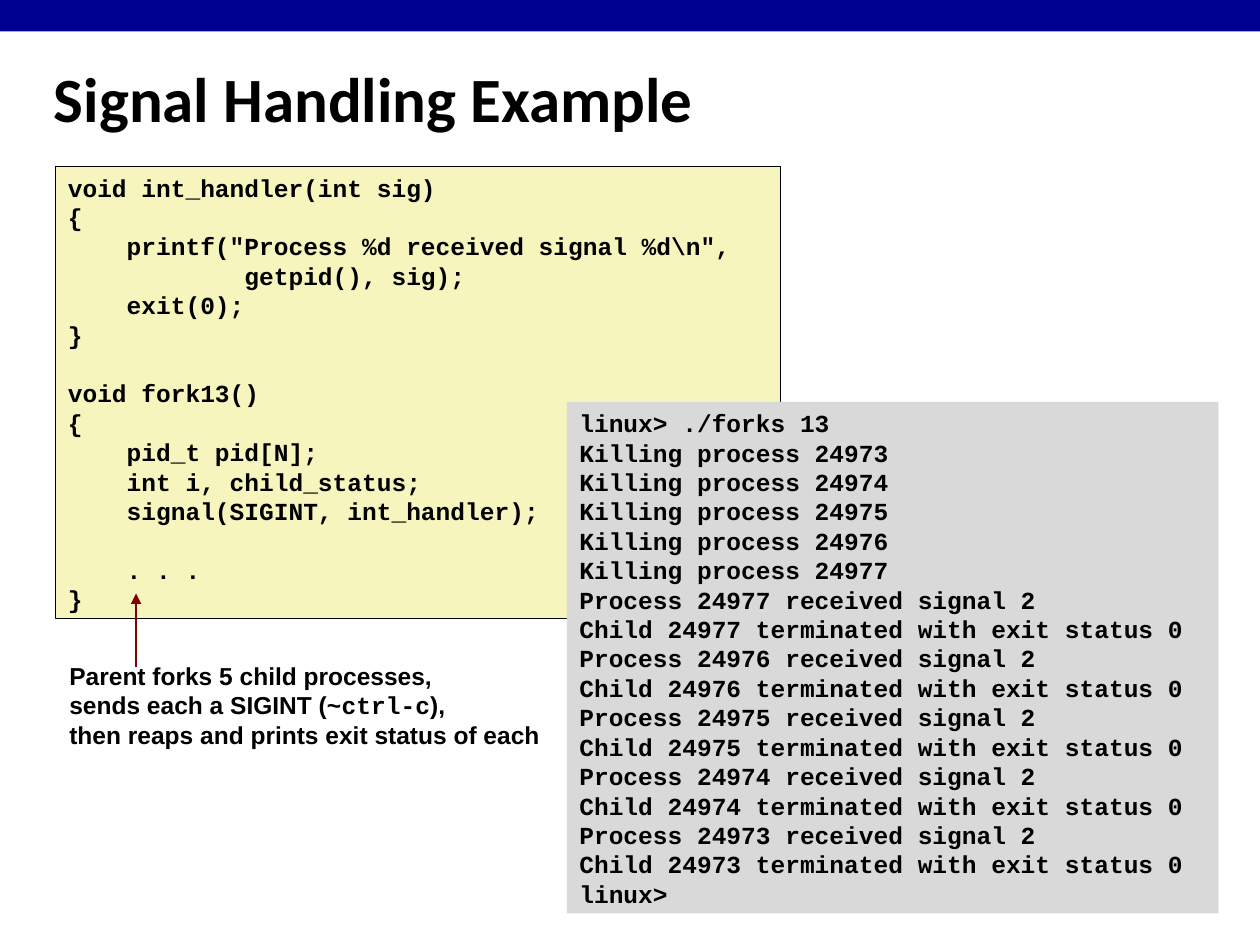
from dataclasses import dataclass

import pptx
import pptx.dml.color
import pptx.enum.shapes
import pptx.enum.text
import pptx.oxml
import pptx.oxml.ns
import pptx.util
from pptx.util import Inches

MONO = "Courier New"
SANS = "Arial"
BLACK = "000000"
PIDS = range(24973, 24978)

CODE = r'''void int_handler(int sig)
{
    printf("Process %d received signal %d\n",
            getpid(), sig);
    exit(0);
}

void fork13()
{
    pid_t pid[N];
    int i, child_status;
    signal(SIGINT, int_handler);

    . . .
}'''


@dataclass
class Run:
    text: str
    font: str = MONO
    size: float = 14


@dataclass
class Box:
    left: float
    top: float
    width: float
    height: float
    lines: list[list[Run]]
    fill: str = ""
    edge: str = ""
    inset: float = 0.1
    middle: bool = False


def color(code: str) -> pptx.dml.color.RGBColor:
    return pptx.dml.color.RGBColor.from_string(code)


def mono(lines: list[str]) -> list[list[Run]]:
    """Make each line one run of code type."""
    return [[Run(line)] if line else [] for line in lines]


def write(frame, box: Box) -> None:
    frame.word_wrap = True
    frame.margin_left = frame.margin_right = Inches(box.inset)
    frame.margin_top = frame.margin_bottom = Inches(0.05)
    anchor = pptx.enum.text.MSO_ANCHOR
    frame.vertical_anchor = anchor.MIDDLE if box.middle else anchor.TOP
    for i, line in enumerate(box.lines):
        par = frame.paragraphs[0] if i == 0 else frame.add_paragraph()
        par.alignment = pptx.enum.text.PP_ALIGN.LEFT
        if not line:
            par.font.size = pptx.util.Pt(14)
            par.font.name = MONO
        for part in line:
            run = par.add_run()
            run.text = part.text
            run.font.name = part.font
            run.font.size = pptx.util.Pt(part.size)
            run.font.bold = True
            run.font.color.rgb = color(BLACK)


def draw(slide, box: Box) -> None:
    """Draw a filled rectangle, or a text box where there is no fill."""
    area = [Inches(n) for n in (box.left, box.top, box.width, box.height)]
    if box.fill:
        kind = pptx.enum.shapes.MSO_SHAPE.RECTANGLE
        shape = slide.shapes.add_shape(kind, *area)
        shape.shadow.inherit = False
        shape.fill.solid()
        shape.fill.fore_color.rgb = color(box.fill)
        if box.edge:
            shape.line.color.rgb = color(box.edge)
            shape.line.width = pptx.util.Pt(0.25)
        else:
            shape.line.fill.background()
    else:
        shape = slide.shapes.add_textbox(*area)
    if box.lines:
        write(shape.text_frame, box)


def arrow(slide, x: float, start: float, end: float) -> None:
    line = slide.shapes.add_connector(
        pptx.enum.shapes.MSO_CONNECTOR.STRAIGHT,
        Inches(x), Inches(start), Inches(x), Inches(end))
    line.line.color.rgb = color("800000")
    line.line.width = pptx.util.Pt(1.5)
    space = pptx.oxml.ns.nsdecls("a")
    tip = pptx.oxml.parse_xml(f'<a:tailEnd {space} type="triangle"/>')
    line.line._get_or_add_ln().append(tip)
    plain = pptx.oxml.parse_xml(f"<a:effectLst {space}/>")
    line._element.spPr.append(plain)


def output() -> list[str]:
    """List what the shell shows; children are reaped last to first."""
    lines = ["linux> ./forks 13"]
    lines += [f"Killing process {pid}" for pid in PIDS]
    for pid in reversed(PIDS):
        lines += [f"Process {pid} received signal 2",
                  f"Child {pid} terminated with exit status 0"]
    return lines + ["linux>"]


def main() -> None:
    deck = pptx.Presentation()
    deck.slide_width, deck.slide_height = Inches(10), Inches(7.5)
    slide = deck.slides.add_slide(deck.slide_layouts[6])

    title = [[Run("Signal Handling Example", "Calibri", 36)]]
    note = [
        [Run("Parent forks 5 child processes,", SANS)],
        [Run("sends each a SIGINT (~", SANS), Run("ctrl-c"), Run("),", SANS)],
        [Run("then reaps and prints exit status of each", SANS)],
    ]
    boxes = [
        Box(0, 0, 10, 0.25, [], "000090"),
        Box(0.33, 0.46, 7.92, 0.63, title, middle=True),
        Box(0.44, 1.32, 5.75, 3.59, mono(CODE.split("\n")), "F6F5BD", BLACK),
        Box(4.5, 3.19, 5.17, 4.06, mono(output()), "D9D9D9"),
        Box(0.5, 5.19, 3.92, 0.81, note, inset=0.05, middle=True),
    ]
    for box in boxes:
        draw(slide, box)
    arrow(slide, 1.08, 5.29, 4.71)
    deck.save("out.pptx")


if __name__ == "__main__":
    main()
